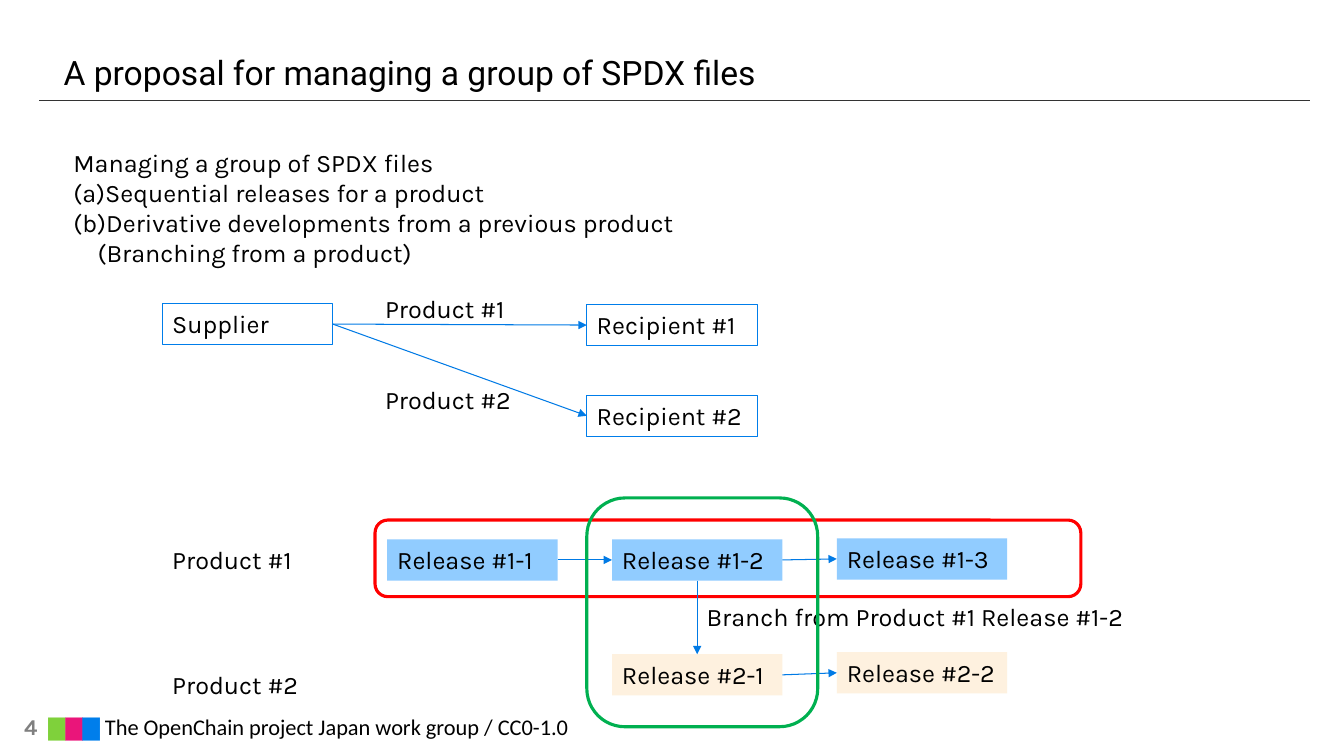
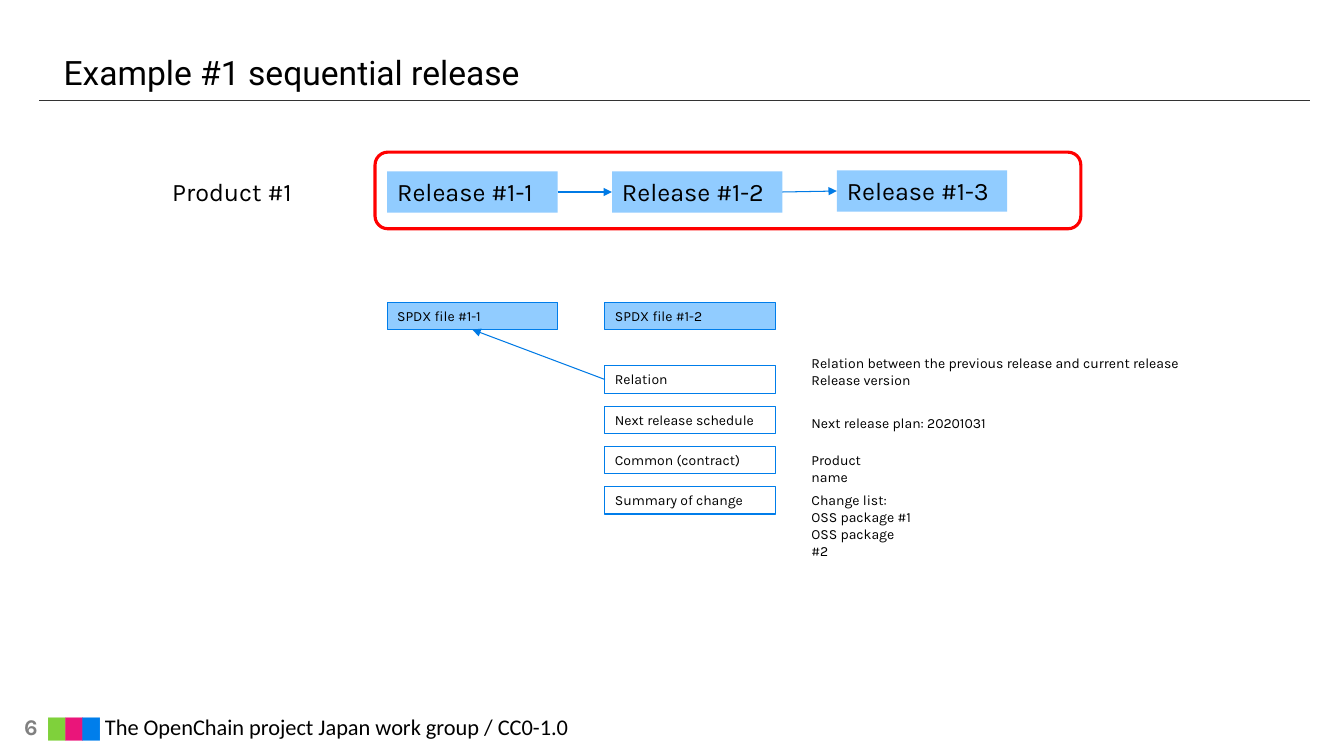
"""Build two slides on managing groups of SPDX files."""
from dataclasses import dataclass

from lxml.etree import SubElement
from pptx import Presentation
from pptx.dml.color import RGBColor
from pptx.enum.shapes import MSO_CONNECTOR as Link, MSO_SHAPE as Shape
from pptx.enum.text import MSO_ANCHOR as Anchor, PP_ALIGN as Align
from pptx.oxml.ns import qn
from pptx.util import Inches, Pt


@dataclass(frozen=True)
class Theme:
    """Colours, fonts and type sizes of the deck."""
    ink: str = "000000"
    grey: str = "808080"
    rule: str = "333333"
    green: str = "7FD13B"
    pink: str = "EA157A"
    blue: str = "007EEB"
    border: str = "007DEA"
    arrow: str = "007AE5"
    first: str = "91CCFF"
    second: str = "FEF1DF"
    red_frame: str = "FF0000"
    green_frame: str = "00B050"
    body: str = "Karla"
    heading: str = "Roboto"
    footer: str = "Calibri"
    title_size: int = 24
    body_size: int = 18
    footer_size: int = 16
    small_size: int = 10
    thin: float = 0.75
    thick: float = 2.25


THEME = Theme()
WIDTH, HEIGHT = 13.33, 7.5
COLUMNS = [1.61 + 2.23 * index for index in range(4)]
BOX_WIDTH, BOX_HEIGHT, SMALL_HEIGHT = 1.69, 0.41, 0.27
FRAME_LEFT, MIDDLE_LEFT = 3.72, 5.82
TOP, LEFT, BOTTOM, RIGHT = range(4)

FOOTER = "The OpenChain project Japan work group / CC0-1.0"
RELEASES = [("Release #1-1", 0), ("Release #1-2", 0), ("Release #1-3", -0.01)]
PROPOSAL = {
    "title": "A proposal for managing a group of SPDX files",
    "number": 4,
    "intro": [
        "Managing a group of SPDX files",
        "(a)Sequential releases for a product",
        "(b)Derivative developments from a previous product",
        "(Branching from a product)",
    ],
    "deliveries": [("Product #1", "Recipient #1"), ("Product #2", "Recipient #2")],
    "branch": [("Release #2-1", 6.49), ("Release #2-2", 6.47)],
}
EXAMPLE = {
    "title": "Example #1 sequential release",
    "number": 6,
    "files": ["SPDX file #1-1", "SPDX file #1-2"],
    "details": [
        ("Relation", -0.16, 4.58,
         ["Relation between the previous release and current release", "Release version"]),
        ("Next release schedule", 0.03, 1.94, ["Next release plan: 20201031"]),
        ("Common (contract)", 0, 1.07, ["Product name"]),
        ("Summary of change", 0, 1.21, ["Change list:", "OSS package #1", "OSS package #2"]),
    ],
}


def style(span, size, color=THEME.ink, font=THEME.body, bold=False):
    """Format one run."""
    span.font.size = Pt(size)
    span.font.name = font
    span.font.bold = bold
    span.font.color.rgb = RGBColor.from_string(color)


def write(shape, lines, size):
    """Fill a shape with left-aligned paragraphs."""
    frame = shape.text_frame
    frame.text = "\n".join(lines)
    frame.word_wrap = True
    frame.vertical_anchor = Anchor.TOP
    for para in frame.paragraphs:
        para.alignment = Align.LEFT
        for span in para.runs:
            style(span, size)


def add_label(page, lines, left, top, width=BOX_WIDTH, height=BOX_HEIGHT, size=THEME.body_size):
    """Add plain text."""
    label = page.shapes.add_textbox(Inches(left), Inches(top), Inches(width), Inches(height))
    write(label, lines, size)
    return label


def add_box(page, left, top, width=BOX_WIDTH, height=BOX_HEIGHT, text="", fill=None,
            line=None, weight=THEME.thin, kind=Shape.RECTANGLE, size=THEME.body_size):
    """Add a box with optional fill, outline and text."""
    box = page.shapes.add_shape(kind, Inches(left), Inches(top), Inches(width), Inches(height))
    box.shadow.inherit = False
    if fill:
        box.fill.solid()
        box.fill.fore_color.rgb = RGBColor.from_string(fill)
    else:
        box.fill.background()
    if line:
        box.line.color.rgb = RGBColor.from_string(line)
        box.line.width = Pt(weight)
    else:
        box.line.fill.background()
    if text:
        write(box, [text], size)
    return box


def add_line(page, start=(0, 0), end=(0, 0), color=THEME.arrow, weight=THEME.thin):
    """Add a straight line without shadow."""
    points = [Inches(value) for value in (*start, *end)]
    line = page.shapes.add_connector(Link.STRAIGHT, *points)
    line.line.color.rgb = RGBColor.from_string(color)
    line.line.width = Pt(weight)
    SubElement(line.element.spPr, qn("a:effectLst"))
    return line


def join(page, source, target, source_side=RIGHT, target_side=LEFT):
    """Join two boxes with an arrow."""
    arrow = add_line(page)
    arrow.begin_connect(source, source_side)
    arrow.end_connect(target, target_side)
    SubElement(arrow.line._get_or_add_ln(), qn("a:tailEnd"), type="triangle")


def add_footer(page, number):
    """Add the page number, colour squares and footer text."""
    box = page.shapes.add_textbox(Inches(0.24), Inches(7.01), Inches(7.08), Inches(0.39))
    frame = box.text_frame
    frame.margin_left = frame.margin_right = frame.margin_top = frame.margin_bottom = 0
    frame.vertical_anchor = Anchor.MIDDLE
    para = frame.paragraphs[0]
    tabs = SubElement(para._p.get_or_add_pPr(), qn("a:tabLst"))
    SubElement(tabs, qn("a:tab"), pos=str(Inches(0.24)), algn="l")
    parts = [(f"{number}\t", THEME.grey), ("▇", THEME.green), ("▇", THEME.pink),
             ("▇ ", THEME.blue), (FOOTER, THEME.ink)]
    for index, (text, color) in enumerate(parts):
        span = para.add_run()
        span.text = text
        font = THEME.footer if index else THEME.body
        style(span, THEME.footer_size, color, font, bold=index == 0)


def add_page(deck, content):
    """Add a slide with its title, rule and footer."""
    page = deck.slides.add_slide(deck.slide_layouts[5])
    add_line(page, (0.39, 0.99), (12.99, 0.99), THEME.rule, 0.25)
    add_footer(page, content["number"])
    title = page.shapes.title
    title.left, title.top, title.width, title.height = map(Inches, (0.63, 0.05, 12.07, 0.87))
    frame = title.text_frame
    frame.text = content["title"]
    frame.margin_left = frame.margin_right = frame.margin_top = frame.margin_bottom = 0
    frame.vertical_anchor = Anchor.BOTTOM
    para = frame.paragraphs[0]
    para.alignment = Align.LEFT
    style(para.runs[0], THEME.title_size, font=THEME.heading)
    return page


def add_releases(page, top):
    """Add the framed release sequence of the first product."""
    row = top + 0.19
    add_label(page, ["Product #1"], COLUMNS[0], row)
    boxes = [add_box(page, left, row + shift, text=text, fill=THEME.first)
             for left, (text, shift) in zip(COLUMNS[1:], RELEASES)]
    for source, target in zip(boxes, boxes[1:]):
        join(page, source, target)
    add_box(page, FRAME_LEFT, top, 7, 0.76, line=THEME.red_frame,
            weight=THEME.thick, kind=Shape.ROUNDED_RECTANGLE)
    return boxes


def build_proposal(deck):
    """Build the overview of products, recipients and branches."""
    page = add_page(deck, PROPOSAL)
    intro = add_label(page, PROPOSAL["intro"], 0.63, 1.41, 11.9, 1.31)
    intro.text_frame.paragraphs[-1]._p.get_or_add_pPr().set("marL", str(Inches(0.24)))

    supplier = add_box(page, COLUMNS[0], 3.01, text="Supplier", line=THEME.border)
    for index, (product, recipient) in enumerate(PROPOSAL["deliveries"]):
        top = 3.02 + 0.9 * index
        target = add_box(page, MIDDLE_LEFT, top, text=recipient, line=THEME.border)
        join(page, supplier, target)
        add_label(page, [product], FRAME_LEFT, top - 0.16)

    releases = add_releases(page, 5.16)
    add_label(page, ["Product #2"], COLUMNS[0], 6.59)
    branch = [add_box(page, left, top, text=text, fill=THEME.second)
              for left, (text, top) in zip(COLUMNS[2:], PROPOSAL["branch"])]
    join(page, *branch)
    join(page, releases[1], branch[0], BOTTOM, TOP)
    add_label(page, ["Branch from Product #1 Release #1-2"], 6.91, 5.92, 4.45)
    add_box(page, MIDDLE_LEFT, 4.94, 2.29, 2.27, line=THEME.green_frame,
            weight=THEME.thick, kind=Shape.ROUNDED_RECTANGLE)


def build_example(deck):
    """Build the sequential release example."""
    page = add_page(deck, EXAMPLE)
    add_releases(page, 1.51)
    small = {"height": SMALL_HEIGHT, "size": THEME.small_size}
    detail_left, note_left = 6, 7.95
    previous, _ = [add_box(page, left, 3, text=text, fill=THEME.first, line=THEME.border, **small)
                   for left, text in zip((COLUMNS[1], detail_left), EXAMPLE["files"])]
    details = []
    for index, (text, shift, width, notes) in enumerate(EXAMPLE["details"]):
        top = 3.63 + 0.4 * index
        details.append(add_box(page, detail_left, top, text=text, line=THEME.border, **small))
        add_label(page, notes, note_left, top + shift, width,
                  0.1 + 0.17 * len(notes), THEME.small_size)
    join(page, details[0], previous, LEFT, BOTTOM)


def main():
    """Build and save the deck."""
    deck = Presentation()
    deck.slide_width, deck.slide_height = Inches(WIDTH), Inches(HEIGHT)
    build_proposal(deck)
    build_example(deck)
    deck.save("out.pptx")


if __name__ == "__main__":
    main()
